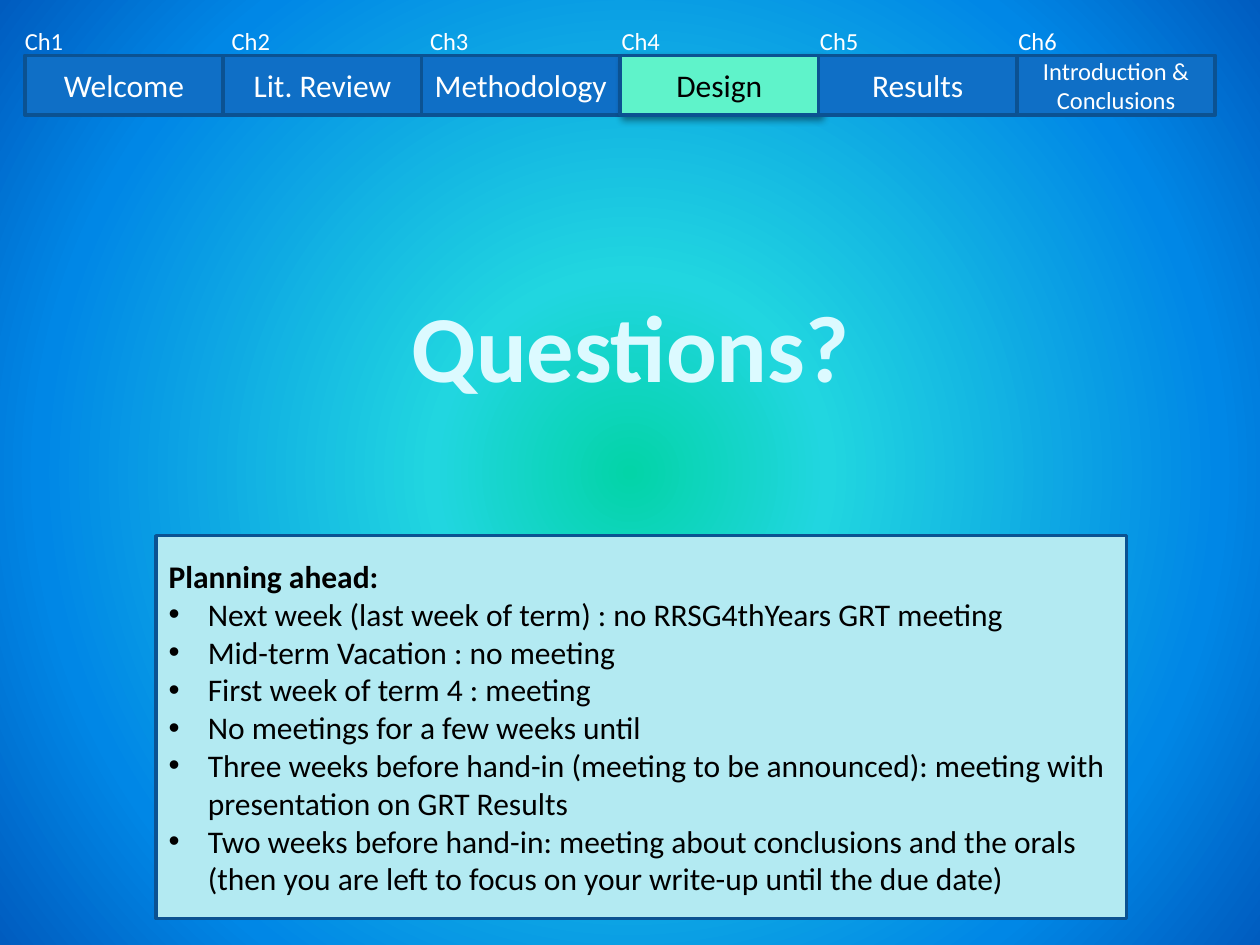
from dataclasses import dataclass

from lxml.etree import SubElement
from pptx import Presentation
from pptx.dml.color import RGBColor
from pptx.enum.shapes import MSO_SHAPE
from pptx.enum.text import MSO_ANCHOR, MSO_AUTO_SIZE, PP_ALIGN
from pptx.oxml import parse_xml
from pptx.oxml.ns import nsdecls, qn
from pptx.util import Cm, Pt


@dataclass(frozen=True)
class Theme:
    """Colours, font and type sizes of the slide."""
    font: str = "Calibri"
    glow: tuple = ((0, "03D4A8"), (25, "21D6E0"), (75, "0087E6"), (100, "005CBF"))
    chapter: str = "0F6FC6"
    current: str = "5FF3CA"
    border: str = "0B5292"
    panel: str = "B3EAF2"
    light: str = "FFFFFF"
    dark: str = "000000"
    headline: str = "DCFAFF"
    headline_edge: str = "00637F"
    headline_size: int = 54
    body_size: int = 18
    small_size: int = 14


THEME = Theme()

CHAPTERS = [
    ("Ch1", "Welcome", -0.25),
    ("Ch2", "Lit. Review", -0.08),
    ("Ch3", "Methodology", -0.08),
    ("Ch4", "Design", -0.22),
    ("Ch5", "Results", -0.22),
    ("Ch6", "Introduction & Conclusions", -0.22),
]
CURRENT_CHAPTER = "Ch4"
LONG_TITLE = 20

PLANS = [
    "Next week (last week of term) : no RRSG4thYears GRT meeting",
    "Mid-term Vacation : no meeting",
    "First week of term 4 : meeting",
    "No meetings for a few weeks until",
    "Three weeks before hand-in (meeting to be announced): meeting with "
    "presentation on GRT Results",
    "Two weeks before hand-in: meeting about conclusions and the orals "
    "(then you are left to focus on your write-up until the due date)",
]


def write(paragraph, text, size, color, align=PP_ALIGN.LEFT, bold=False):
    """Fill a paragraph with one run of styled text."""
    paragraph.text = text
    paragraph.alignment = align
    font = paragraph.font
    font.name, font.size, font.bold = THEME.font, Pt(size), bold
    font.color.rgb = RGBColor.from_string(color)


def add_box(slide, left, top, width, height, fill):
    """Add a bordered rectangle and return it."""
    box = slide.shapes.add_shape(
        MSO_SHAPE.RECTANGLE, Cm(left), Cm(top), Cm(width), Cm(height))
    box.shadow.inherit = False
    box.fill.solid()
    box.fill.fore_color.rgb = RGBColor.from_string(fill)
    box.line.color.rgb = RGBColor.from_string(THEME.border)
    box.line.width = Pt(2)
    box.text_frame.word_wrap = True
    box.text_frame.vertical_anchor = MSO_ANCHOR.MIDDLE
    return box


def add_label(slide, left, top, width, height):
    """Add an unwrapped text box and return its first paragraph."""
    frame = slide.shapes.add_textbox(
        Cm(left), Cm(top), Cm(width), Cm(height)).text_frame
    frame.word_wrap = False
    frame.auto_size = MSO_AUTO_SIZE.SHAPE_TO_FIT_TEXT
    return frame.paragraphs[0]


def cast_shadow(box):
    """Give a box a soft shadow to the lower right."""
    effects = box.element.spPr.find(qn("a:effectLst"))
    shadow = SubElement(effects, qn("a:outerShdw"), blurRad=str(Pt(4)),
                        dist=str(Pt(3)), dir="2700000", rotWithShape="0")
    shade = SubElement(shadow, qn("a:srgbClr"), val=THEME.dark)
    SubElement(shade, qn("a:alpha"), val="40000")


def paint_background(slide):
    """Paint a circular gradient glowing from the slide centre."""
    stops = "".join(
        f'<a:gs pos="{position * 1000}"><a:srgbClr val="{color}"/></a:gs>'
        for position, color in THEME.glow)
    slide.element.cSld.insert(0, parse_xml(
        f'<p:bg {nsdecls("p", "a")}><p:bgPr><a:gradFill rotWithShape="1">'
        f'<a:gsLst>{stops}</a:gsLst><a:path path="circle">'
        '<a:fillToRect l="50000" t="50000" r="50000" b="50000"/></a:path>'
        '</a:gradFill><a:effectLst/></p:bgPr></p:bg>'))


def add_headline(slide, left, top, width, height):
    """Place the outlined headline."""
    headline = add_label(slide, left, top, width, height)
    write(headline, "Questions?", THEME.headline_size, THEME.headline,
          PP_ALIGN.CENTER, bold=True)
    headline.runs[0].font._element.insert(0, parse_xml(
        f'<a:ln {nsdecls("a")} w="{Pt(1)}"><a:solidFill>'
        f'<a:srgbClr val="{THEME.headline_edge}"/></a:solidFill></a:ln>'))


def add_chapter_bar(slide, left, top, width, height):
    """Place equal chapter cells with their numbers above."""
    cell_width = width / len(CHAPTERS)
    for index, (number, title, nudge) in enumerate(CHAPTERS):
        cell_left = left + index * cell_width
        is_current = number == CURRENT_CHAPTER
        cell = add_box(slide, cell_left, top, cell_width, height,
                       THEME.current if is_current else THEME.chapter)
        if is_current:
            cast_shadow(cell)
        write(cell.text_frame.paragraphs[0], title,
              THEME.small_size if len(title) > LONG_TITLE else THEME.body_size,
              THEME.dark if is_current else THEME.light, PP_ALIGN.CENTER)
        write(add_label(slide, cell_left + nudge, top - 0.71, 1.3, 0.86),
              number, THEME.small_size, THEME.light)


def add_plan_panel(slide, left, top, width, height):
    """Place the panel with the bulleted meeting plan."""
    frame = add_box(slide, left, top, width, height, THEME.panel).text_frame
    write(frame.paragraphs[0], "Planning ahead:", THEME.body_size, THEME.dark,
          bold=True)
    for plan in PLANS:
        item = frame.add_paragraph()
        write(item, plan, THEME.body_size, THEME.dark)
        properties = item._p.get_or_add_pPr()
        properties.set("marL", str(Cm(0.79)))
        properties.set("indent", str(-Cm(0.79)))
        properties.insert(0, parse_xml(f'<a:buChar {nsdecls("a")} char="•"/>'))
        properties.insert(0, parse_xml(
            f'<a:buFont {nsdecls("a")} typeface="Arial"/>'))


def main():
    """Build and save the slide."""
    deck = Presentation()
    deck.slide_width, deck.slide_height = Cm(25.4), Cm(19.05)
    slide = deck.slides.add_slide(deck.slide_layouts[6])
    paint_background(slide)
    add_headline(slide, 7.98, 5.69, 9.45, 2.57)
    add_chapter_bar(slide, 0.5, 1.12, 24, 1.2)
    add_plan_panel(slide, 3.15, 10.8, 19.56, 7.72)
    deck.save("out.pptx")


if __name__ == "__main__":
    main()
